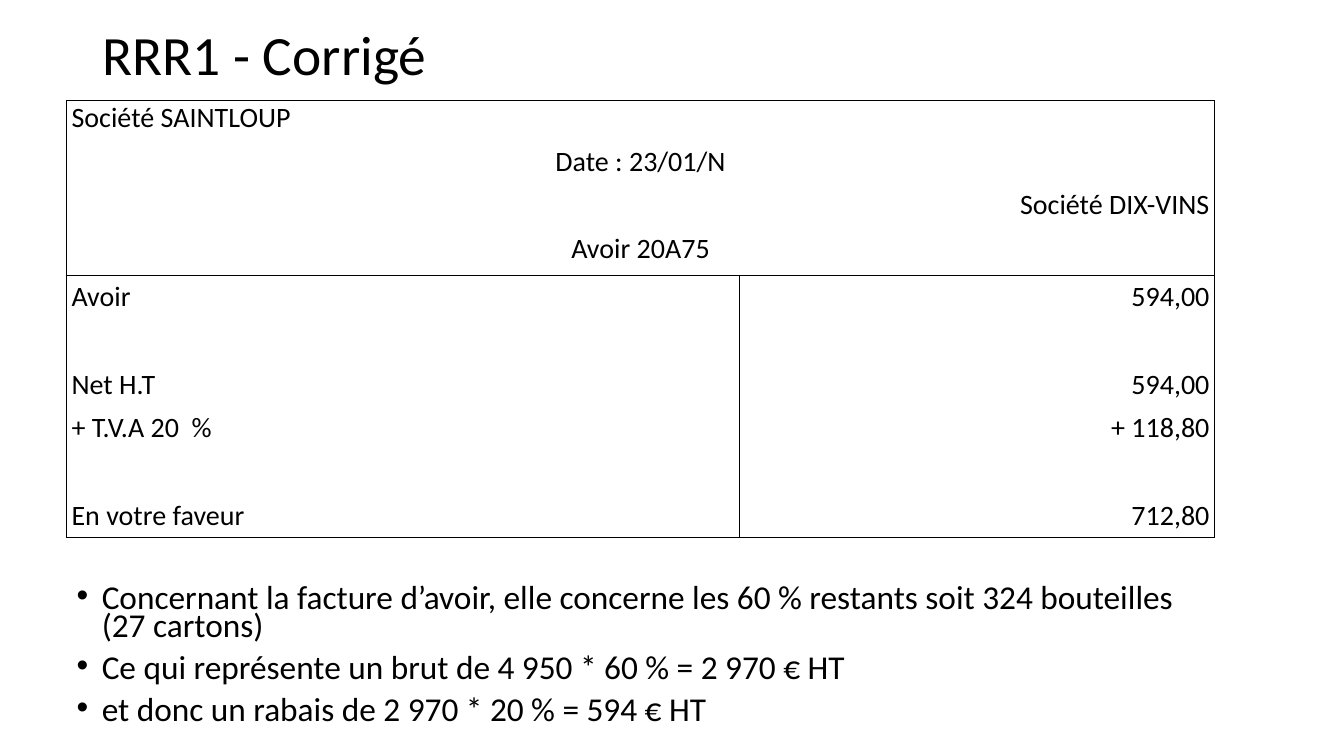
from pptx import Presentation, util as u
from pptx.enum import text
from pptx.oxml import parse_xml
from pptx.oxml.ns import nsdecls

PX = 3048  # EMU per px, 300 px to the inch
COLOURS = {"ink": "000000", "page": "FFFFFF"}
INK = u.RGBColor if hasattr(u, "RGBColor") else None
from pptx.dml.color import RGBColor

INK = RGBColor.from_string(COLOURS["ink"])
LEFT, MID, RIGHT = text.PP_ALIGN.LEFT, text.PP_ALIGN.CENTER, text.PP_ALIGN.RIGHT
TOP, CENTRE = text.MSO_ANCHOR.TOP, text.MSO_ANCHOR.MIDDLE


def write(frame, *lines, size, align=LEFT, spacing=None, before=None, hang=0):
    for n, line in enumerate(lines):
        par = frame.add_paragraph() if n else frame.paragraphs[0]
        par.alignment = align
        par.line_spacing = spacing
        if before is not None:
            par.space_before = u.Pt(before)
        if hang:
            props = par._p.get_or_add_pPr()
            props.set("marL", str(hang * PX))
            props.set("indent", str(-hang * PX))
        run = par.add_run()
        run.text = line
        run.font.name = "Calibri"
        run.font.size = u.Pt(size)
        run.font.color.rgb = INK


def place(shape, *box):
    shape.left, shape.top, shape.width, shape.height = [v * PX for v in box]
    shape.text_frame.auto_size = text.MSO_AUTO_SIZE.NONE
    shape.text_frame.word_wrap = True
    return shape.text_frame


deck = Presentation()
deck.slide_width, deck.slide_height = 4000 * PX, 2250 * PX
slide = deck.slides.add_slide(deck.slide_layouts[1])
slide.background.fill.solid()
slide.background.fill.fore_color.rgb = RGBColor.from_string(COLOURS["page"])

# Title and list
title = place(slide.shapes.title, 276, 120, 3450, 105)
title.vertical_anchor = CENTRE
write(title, "RRR1 - Corrigé", size=39.6, spacing=0.9)

notes = place(slide.placeholders[1], 198, 1731, 3450, 450)
write(
    notes,
    "Concernant la facture d’avoir, elle concerne les 60 % restants soit 324 bouteilles (27 cartons)",
    "Ce qui représente un brut de 4 950 * 60 % = 2 970 € HT",
    "et donc un rabais de 2 970 * 20 % = 594 € HT",
    size=23.8, spacing=0.7, before=10, hang=75,
)

# Credit note: a heading of four rows, then labels and amounts
HEAD = 4
rows = [
    ("Société SAINTLOUP", ""),
    ("Date : 23/01/N",),
    ("", "Société DIX-VINS"),
    ("Avoir 20A75",),
    ("Avoir", "594,00"),
    ("", ""),
    ("Net H.T", "594,00"),
    ("+ T.V.A 20  %", "+ 118,80"),
    ("", ""),
    ("En votre faveur", "712,80"),
]
cols, tall = (2004, 1413), 130
last = len(rows) - 1
grid = slide.shapes.add_table(
    len(rows), 2, 198 * PX, 300 * PX, sum(cols) * PX, tall * len(rows) * PX
).table
grid.first_row = grid.horz_banding = False
for c, wide in enumerate(cols):
    grid.columns[c].width = wide * PX

for r, row in enumerate(rows):
    grid.rows[r].height = tall * PX
    span = len(row) == 1
    if span:
        grid.cell(r, 0).merge(grid.cell(r, 1))
    for c in range(2):
        cell = grid.cell(r, c)
        cell.margin_left = cell.margin_right = 15 * PX
        cell.margin_top = cell.margin_bottom = 0
        cell.vertical_anchor = TOP if r < HEAD else CENTRE
        edges = {
            "lnL": c == 0 or r >= HEAD,
            "lnR": c == 1 or span or r >= HEAD,
            "lnT": r in (0, HEAD),
            "lnB": r in (HEAD - 1, last),
        }
        for tag, drawn in edges.items():
            fill = (
                f'<a:solidFill><a:srgbClr val="{COLOURS["ink"]}"/></a:solidFill>'
                if drawn else "<a:noFill/>"
            )
            cell._tc.get_or_add_tcPr().append(
                parse_xml(f'<a:{tag} {nsdecls("a")} w="12700">{fill}</a:{tag}>')
            )
        cell.fill.background()
        if c < len(row) and row[c]:
            side = MID if span else (LEFT, RIGHT)[c]
            write(cell.text_frame, row[c], size=20, align=side)

deck.save("out.pptx")
